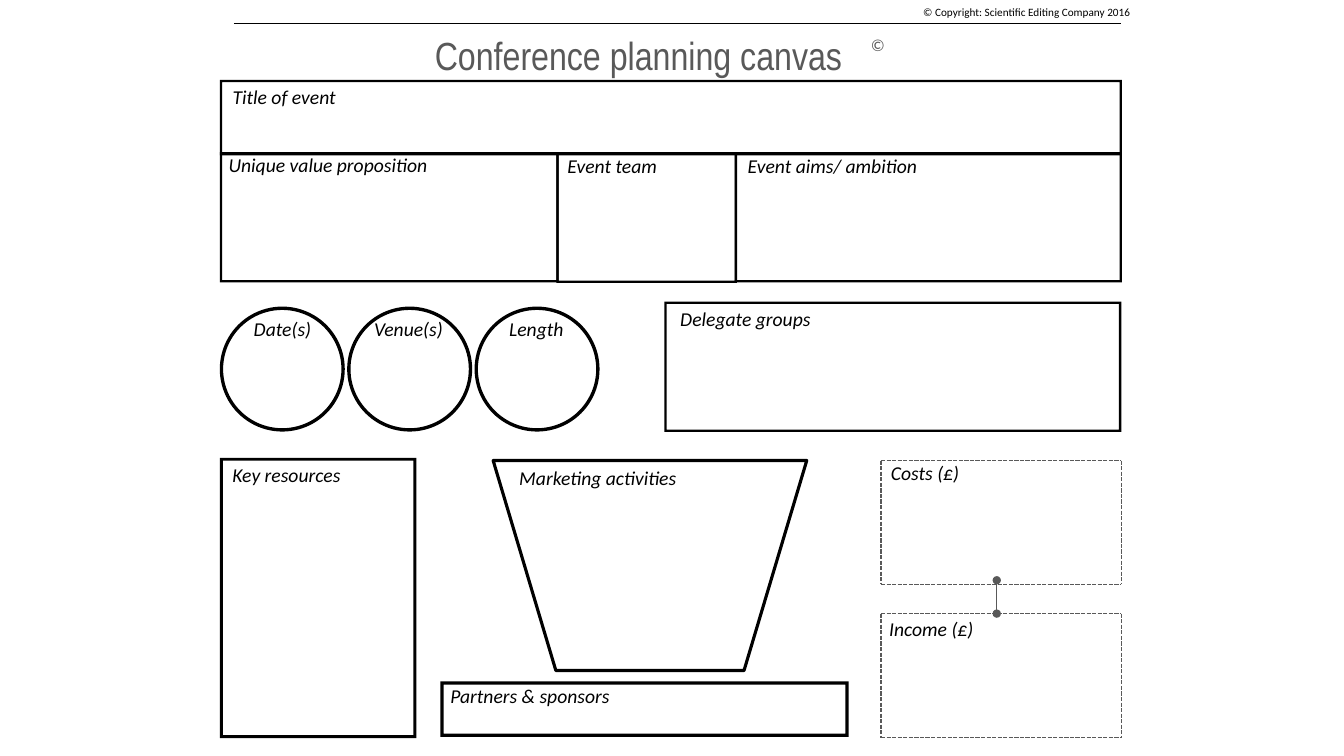
from lxml import etree
from pptx import Presentation
from pptx.dml.color import RGBColor
from pptx.enum.dml import MSO_LINE
from pptx.enum.shapes import MSO_CONNECTOR, MSO_SHAPE
from pptx.enum.text import MSO_ANCHOR, MSO_AUTO_SIZE, PP_ALIGN
from pptx.oxml.ns import qn
from pptx.util import Pt

FRAME, DONUT = MSO_SHAPE.FRAME, MSO_SHAPE.DONUT
FUNNEL = MSO_SHAPE.FLOWCHART_MANUAL_OPERATION
STRAIGHT = MSO_CONNECTOR.STRAIGHT
SYS_DASH = MSO_LINE.SQUARE_DOT
MIDDLE, CENTER = MSO_ANCHOR.MIDDLE, PP_ALIGN.CENTER
NO_AUTOFIT = MSO_AUTO_SIZE.NONE


def color(hex_value):
    return RGBColor.from_string(hex_value)


class Canvas:
    BLACK, WHITE, GRAY = "000000", "FFFFFF", "595959"
    BODY_FONT, TITLE_FONT = "Calibri", "Arial Narrow"

    def __init__(self, slide):
        self.shapes = slide.shapes

    def add_text(self, paragraph, text, size, font, hex_value, italic=False):
        run = paragraph.add_run()
        run.text = text
        run.font.size = Pt(size)
        run.font.name = font
        run.font.italic = italic
        run.font.color.rgb = color(hex_value)

    def title(self, text, left, top, width, height):
        heading = self.shapes.title
        heading.left, heading.top = Pt(left), Pt(top)
        heading.width, heading.height = Pt(width), Pt(height)
        frame = heading.text_frame
        frame.auto_size = NO_AUTOFIT
        frame.vertical_anchor = MIDDLE
        frame.paragraphs[0].alignment = CENTER
        self.add_text(frame.paragraphs[0], text, 28, self.TITLE_FONT, self.GRAY)

    def label(self, text, left, top, width, size=14, hex_value=BLACK, italic=True):
        box = self.shapes.add_textbox(Pt(left), Pt(top), Pt(width), Pt(size * 1.2 + 7.5))
        box.text_frame.word_wrap = True
        self.add_text(box.text_frame.paragraphs[0], text, size, self.BODY_FONT, hex_value, italic)

    def shape(self, kind, left, top, width, height, fill):
        item = self.shapes.add_shape(kind, Pt(left), Pt(top), Pt(width), Pt(height))
        item.shadow.inherit = False
        item.fill.solid()
        item.fill.fore_color.rgb = color(fill)
        return item

    def outline(self, kind, left, top, width, height, thickness):
        """A hollow frame or ring whose band is `thickness` points wide."""
        ring = self.shape(kind, left, top, width, height, self.BLACK)
        ring.adjustments[0] = thickness / min(width, height)
        ring.line.fill.background()

    def funnel(self, left, top, width, height):
        bucket = self.shape(FUNNEL, left, top, width, height, self.WHITE)
        bucket.line.color.rgb = color(self.BLACK)
        bucket.line.width = Pt(2.25)

    def line(self, x1, y1, x2, y2, hex_value=GRAY, dash=None, oval_ends=False):
        link = self.shapes.add_connector(STRAIGHT, Pt(x1), Pt(y1), Pt(x2), Pt(y2))
        link.line.color.rgb = color(hex_value)
        link.line.width = Pt(1)
        if dash:
            link.line.dash_style = dash
        if oval_ends:
            stroke = link.get_or_add_ln()
            for end in ("a:headEnd", "a:tailEnd"):
                etree.SubElement(stroke, qn(end), type="oval")
        etree.SubElement(link._element.spPr, qn("a:effectLst"))

    def dashed_box(self, left, top, right, bottom):
        for x in (left, right):
            self.line(x, top, x, bottom, dash=SYS_DASH)
        for y in (top, bottom):
            self.line(left, y, right, y, dash=SYS_DASH)


def main():
    deck = Presentation()
    deck.slide_width, deck.slide_height = Pt(960), Pt(540)
    canvas = Canvas(deck.slides.add_slide(deck.slide_layouts[5]))

    # Header
    canvas.line(167, 16.6, 800.6, 16.6, Canvas.BLACK)
    canvas.title("Conference planning canvas", 183, 13, 545.8, 52.5)
    canvas.label("©", 615, 21, 26, 12, Canvas.GRAY, italic=False)
    canvas.label("© Copyright: Scientific Editing Company 2016", 652.3, 0, 190, 8, italic=False)

    # Framed sections: frame box, band thickness, label, label position and width
    sections = [
        ((157, 57, 644.4, 54), 1.6, "Title of event", (159, 57, 121)),
        ((157, 108.7, 242, 93), 1.6, "Unique value proposition", (156.2, 106, 175)),
        ((397.4, 108.7, 129, 93.4), 1.6, "Event team", (398.2, 106.4, 85)),
        ((525, 108.7, 276.4, 93), 1.6, "Event aims/ ambition", (527, 106.6, 175)),
        ((474.5, 215.4, 326.4, 93), 1.6, "Delegate groups", (478.8, 215.4, 114)),
        ((157, 327, 140.4, 200.2), 2.1, "Key resources", (159, 327, 114)),
        ((314.6, 486.7, 291.6, 39.6), 2.3, "Partners & sponsors", (314.6, 484.6, 149)),
    ]
    for box, thickness, text, place in sections:
        canvas.outline(FRAME, *box, thickness)
        canvas.label(text, *place)

    # Circles
    circles = [("Date(s)", 174.2, 60.5), ("Venue(s)", 260.2, 70), ("Length", 356.6, 60.5)]
    for index, (text, left, width) in enumerate(circles):
        canvas.outline(DONUT, 157 + 91 * index, 219, 89.3, 89.3, 2.4)
        canvas.label(text, left, 222.6, width)

    # Marketing
    canvas.funnel(352.3, 329, 224, 150)
    canvas.label("Marketing activities", 363.8, 329, 150)

    # Costs and income
    canvas.dashed_box(629.3, 329, 801, 417.5)
    canvas.label("Costs (£)", 629.3, 325.5, 68)
    canvas.dashed_box(629.3, 438.3, 801, 526.8)
    canvas.label("Income (£)", 628, 437.2, 79)
    canvas.line(712, 414.5, 712, 438.3, oval_ends=True)

    deck.save("out.pptx")


if __name__ == "__main__":
    main()
